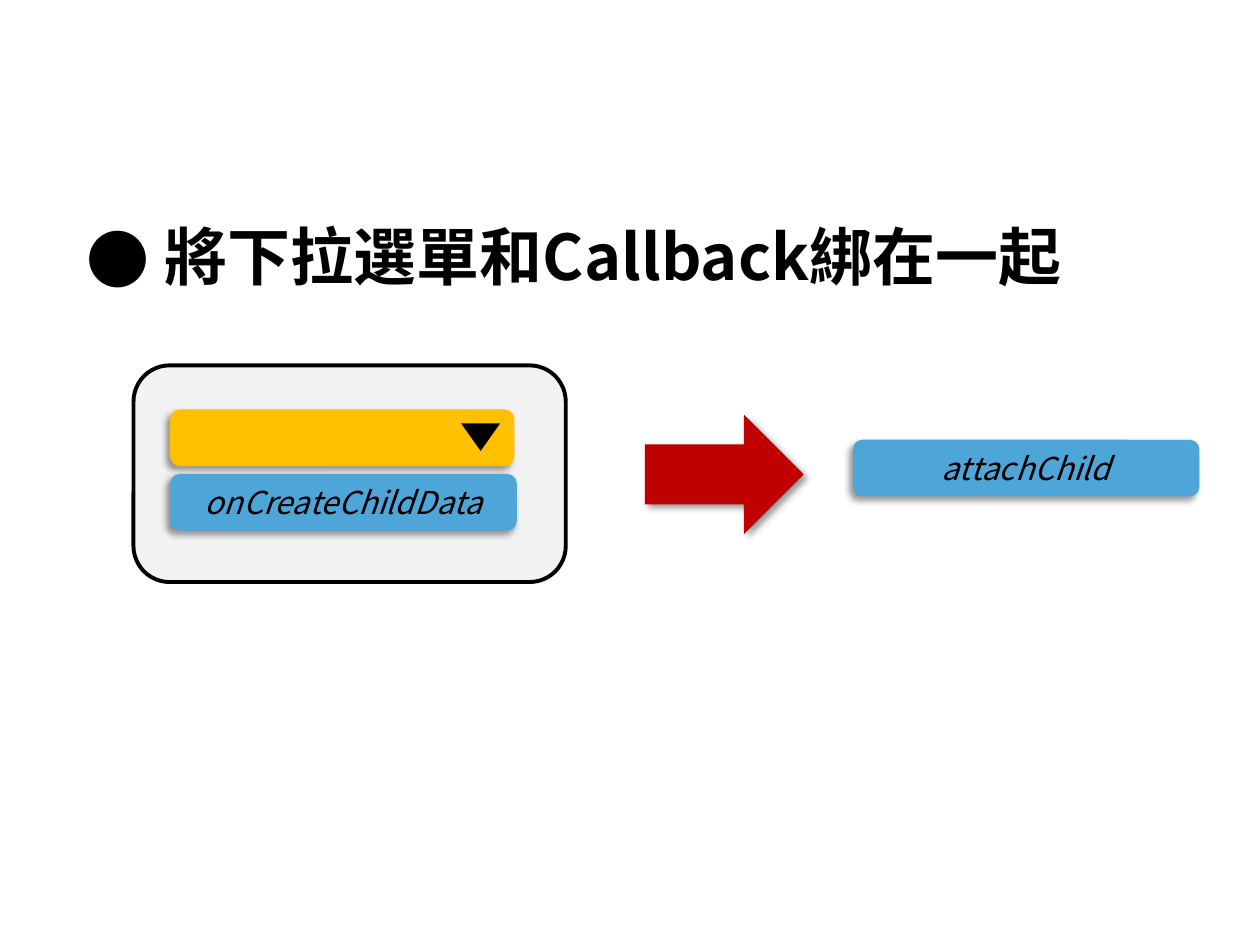
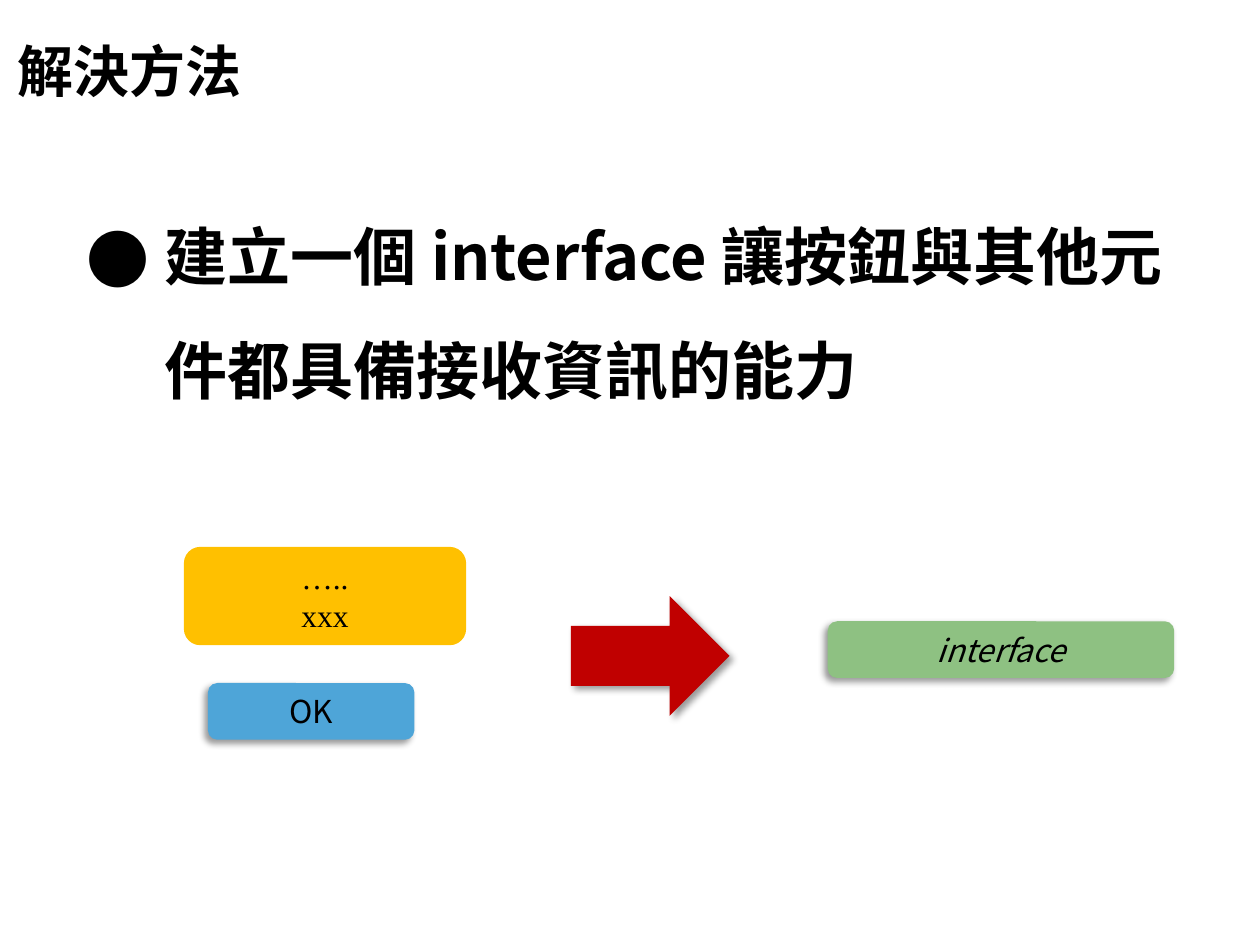
import pptx
import pptx.dml.color
import pptx.enum.shapes
import pptx.enum.text
import pptx.oxml
import pptx.oxml.ns
import pptx.util
import lxml.etree

Pt = pptx.util.Pt
RGBColor = pptx.dml.color.RGBColor
SHAPE = pptx.enum.shapes.MSO_SHAPE
ALIGN = pptx.enum.text.PP_ALIGN
ANCHOR = pptx.enum.text.MSO_ANCHOR
FIT = pptx.enum.text.MSO_AUTO_SIZE
qn = pptx.oxml.ns.qn

BLACK = RGBColor(0x00, 0x00, 0x00)
PANEL_GRAY = RGBColor(0xF2, 0xF2, 0xF2)
AMBER = RGBColor(0xFF, 0xC0, 0x00)
BLUE = RGBColor(0x4E, 0xA5, 0xD8)
GREEN = RGBColor(0x8E, 0xC1, 0x82)
RED = RGBColor(0xC0, 0x00, 0x00)

SANS = "Noto Sans CJK SC"
SERIF = "Times New Roman"
TITLE_LAYOUT, BLANK_LAYOUT = 5, 6

BULLET_BOX = (42.5, 99.4, 657.4, 77)
TITLE_BOX = (2.9, 0, 717.1, 60.5)
BAR_WIDTH, BAR_HEIGHT = 198, 32.4
ARROW_WIDTH, ARROW_HEIGHT = 90.7, 68.4
HANGING_INDENT = 44.64
SHADOW_LEFT, SHADOW_RIGHT = 135, 45


def add_run(paragraph, text, size, font_name=SANS, bold=False, italic=False):
    run = paragraph.add_run()
    run.text = text
    font = run.font
    font.size = Pt(size)
    font.bold = bold
    font.italic = italic
    font.color.rgb = BLACK
    font.name = font_name
    east_asian = lxml.etree.SubElement(run._r.get_or_add_rPr(), qn("a:ea"))
    east_asian.set("typeface", font_name)


def add_shadow(shape, degrees):
    effects = shape._element.spPr.find(qn("a:effectLst"))
    effects.append(pptx.oxml.parse_xml(
        '<a:outerShdw xmlns:a="http://schemas.openxmlformats.org/drawingml/2006/main" '
        f'blurRad="{Pt(4)}" dist="{Pt(3)}" dir="{degrees * 60000}" rotWithShape="0">'
        '<a:srgbClr val="000000"><a:alpha val="40000"/></a:srgbClr></a:outerShdw>'))


def add_block(slide, kind, box, color, shadow=None):
    shape = slide.shapes.add_shape(kind, *map(Pt, box))
    shape.fill.solid()
    shape.fill.fore_color.rgb = color
    shape.line.fill.background()
    shape.shadow.inherit = False
    if shadow is not None:
        add_shadow(shape, shadow)
    return shape


def add_labels(shape, labels, font_name=SANS, italic=False):
    frame = shape.text_frame
    frame.word_wrap = True
    frame.vertical_anchor = ANCHOR.MIDDLE
    frame.auto_size = FIT.SHAPE_TO_FIT_TEXT
    for index, label in enumerate(labels):
        paragraph = frame.add_paragraph() if index else frame.paragraphs[0]
        paragraph.alignment = ALIGN.CENTER
        add_run(paragraph, label, 18, font_name, italic=italic)


def add_bar(slide, left, top, label, color, width=BAR_WIDTH, italic=True):
    bar = add_block(slide, SHAPE.ROUNDED_RECTANGLE,
                    (left, top, width, BAR_HEIGHT), color, SHADOW_LEFT)
    if label:
        add_labels(bar, [label], italic=italic)


def add_arrow(slide, left, top):
    add_block(slide, SHAPE.RIGHT_ARROW,
              (left, top, ARROW_WIDTH, ARROW_HEIGHT), RED, SHADOW_RIGHT)


def add_title(slide, text):
    title = slide.shapes.title
    title.left, title.top, title.width, title.height = map(Pt, TITLE_BOX)
    frame = title.text_frame
    frame.word_wrap = True
    frame.auto_size = FIT.NONE
    frame.vertical_anchor = ANCHOR.MIDDLE
    paragraph = frame.paragraphs[0]
    paragraph.alignment = ALIGN.LEFT
    paragraph.line_spacing = 1.5
    add_run(paragraph, text, 32, bold=True)


def add_bullet(slide, text):
    frame = slide.shapes.add_textbox(*map(Pt, BULLET_BOX)).text_frame
    frame.word_wrap = True
    paragraph = frame.paragraphs[0]
    paragraph.line_spacing = 1.5
    properties = paragraph._p.get_or_add_pPr()
    properties.set("marL", str(Pt(HANGING_INDENT)))
    properties.set("indent", str(-Pt(HANGING_INDENT)))
    lxml.etree.SubElement(properties, qn("a:buFont")).set("typeface", SANS)
    lxml.etree.SubElement(properties, qn("a:buChar")).set("char", "●")
    add_run(paragraph, text, 36, bold=True)


def add_dropdown_panel(slide, left, top, width, height):
    panel = add_block(slide, SHAPE.ROUNDED_RECTANGLE, (left, top, width, height), PANEL_GRAY)
    panel.line.color.rgb = BLACK
    panel.line.width = Pt(2.25)
    add_bar(slide, left + 21, top + 25.2, None, AMBER, width=196.6)
    add_bar(slide, left + 21, top + 62, "onCreateChildData", BLUE)
    marker = add_block(slide, SHAPE.ISOSCELES_TRIANGLE,
                       (left + 187.2, top + 33.1, 22.3, 15.8), BLACK)
    marker.rotation = 180


def add_message_dialog(slide, left, top, width, height):
    message = add_block(slide, SHAPE.ROUNDED_RECTANGLE, (left, top, width, height), AMBER)
    add_labels(message, ["…..", "xxx"], SERIF)
    add_bar(slide, left + 13.7, top + 77.8, "OK", BLUE, width=118, italic=False)


def build_callback_slide(presentation):
    slide = presentation.slides.add_slide(presentation.slide_layouts[BLANK_LAYOUT])
    add_dropdown_panel(slide, 76.3, 208.8, 247, 123.8)
    add_bar(slide, 487.4, 251.3, "attachChild", BLUE)
    add_arrow(slide, 368.6, 236.9)
    add_bullet(slide, "將下拉選單和Callback綁在一起")


def build_solution_slide(presentation):
    slide = presentation.slides.add_slide(presentation.slide_layouts[TITLE_LAYOUT])
    add_title(slide, "解決方法")
    add_bar(slide, 473, 355, "interface", GREEN)
    add_arrow(slide, 326.2, 340.6)
    add_bullet(slide, "建立一個 interface 讓按鈕與其他元件都具備接收資訊的能力")
    add_message_dialog(slide, 105.1, 312.5, 161.3, 56.2)


def main():
    presentation = pptx.Presentation()
    presentation.slide_width = Pt(720)
    presentation.slide_height = Pt(540)
    build_callback_slide(presentation)
    build_solution_slide(presentation)
    presentation.save("out.pptx")


if __name__ == "__main__":
    main()
